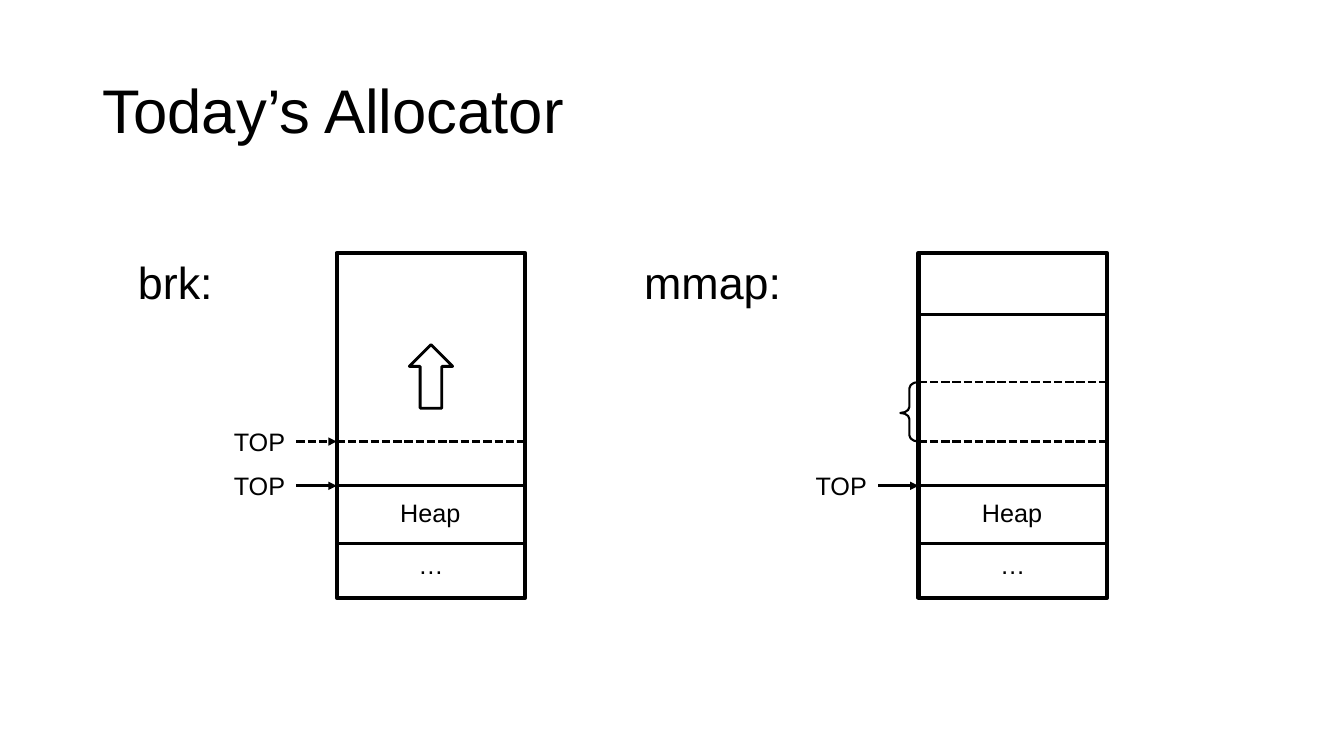
from lxml.etree import SubElement
from pptx import Presentation
from pptx.dml.color import RGBColor
from pptx.enum.dml import MSO_LINE
from pptx.enum.shapes import MSO_CONNECTOR, MSO_SHAPE
from pptx.enum.text import MSO_ANCHOR, MSO_AUTO_SIZE
from pptx.oxml.ns import qn
from pptx.util import Inches, Pt

BLACK = RGBColor(0, 0, 0)
FONT = "Arial"
TITLE = "Today’s Allocator"

# Heights on the slide, in inches
MEMORY_TOP, MEMORY_HEIGHT, MEMORY_WIDTH = 2.51, 3.42, 1.87
MAPPED_TOP, BLOCK_TOP, NEW_TOP, HEAP_TOP, HEAP_BOTTOM = 3.12, 3.79, 4.38, 4.82, 5.39
BAND_LABELS = [("Heap", 0.81, 5.08), ("…", 0.45, 5.6)]  # text, width, middle
LABEL_WIDTH, LABEL_HEIGHT, ARROW_LENGTH = 0.72, 0.4, 0.4

# Each line or pointer is (height, dashed)
MEMORIES = [
    {"heading": "brk:", "heading_left": 1.27, "heading_width": 0.95, "left": 3.34,
     "lines": [(HEAP_TOP, False), (HEAP_BOTTOM, False), (NEW_TOP, True)],
     "pointers": [(HEAP_TOP, False), (NEW_TOP, True)]},
    {"heading": "mmap:", "heading_left": 6.29, "heading_width": 1.57, "left": 9.11,
     "lines": [(HEAP_TOP, False), (HEAP_BOTTOM, False), (NEW_TOP, True),
               (BLOCK_TOP, True), (MAPPED_TOP, False)],
     "pointers": [(HEAP_TOP, False)]},
]


def add_text(slide, text, left, top, width, height, size):
    box = slide.shapes.add_textbox(Inches(left), Inches(top), Inches(width), Inches(height))
    box.text_frame.text = text
    box.text_frame.word_wrap = False
    box.text_frame.auto_size = MSO_AUTO_SIZE.SHAPE_TO_FIT_TEXT
    font = box.text_frame.paragraphs[0].runs[0].font
    font.name, font.size, font.color.rgb = FONT, Pt(size), BLACK
    return box


def add_label(slide, text, left, middle, width):
    return add_text(slide, text, left, middle - LABEL_HEIGHT / 2, width, LABEL_HEIGHT, 18)


def add_outline(slide, kind, left, top, width, height, weight):
    shape = slide.shapes.add_shape(kind, Inches(left), Inches(top), Inches(width), Inches(height))
    shape.shadow.inherit = False
    shape.fill.background()
    shape.line.color.rgb = BLACK
    shape.line.width = Pt(weight)
    return shape


def add_level(slide, left, right, height, dashed):
    """Draw a horizontal line at the given height."""
    level = slide.shapes.add_connector(
        MSO_CONNECTOR.STRAIGHT, Inches(left), Inches(height), Inches(right), Inches(height))
    level.line.color.rgb = BLACK
    level.line.width = Pt(2)
    if dashed:
        level.line.dash_style = MSO_LINE.SQUARE_DOT
    SubElement(level._element.spPr, qn("a:effectLst"))
    return level


def add_pointer(slide, memory_left, height, dashed):
    """Draw a TOP label with an arrow to the memory's left side."""
    arrow_left = memory_left - ARROW_LENGTH
    label = add_label(slide, "TOP", arrow_left - LABEL_WIDTH, height, LABEL_WIDTH)
    arrow = add_level(slide, arrow_left, memory_left, height, dashed)
    arrow.begin_connect(label, 3)
    SubElement(arrow.line._get_or_add_ln(), qn("a:tailEnd"), type="triangle")


def add_memory(slide, memory):
    left = memory["left"]
    center = left + MEMORY_WIDTH / 2
    add_text(slide, memory["heading"], memory["heading_left"], 2.48,
             memory["heading_width"], 0.64, 32)
    add_outline(slide, MSO_SHAPE.RECTANGLE, left, MEMORY_TOP, MEMORY_WIDTH, MEMORY_HEIGHT, 3)
    for height, dashed in memory["lines"]:
        add_level(slide, left, left + MEMORY_WIDTH, height, dashed)
    for height, dashed in memory["pointers"]:
        add_pointer(slide, left, height, dashed)
    for text, width, middle in BAND_LABELS:
        add_label(slide, text, center - width / 2, middle, width)


def main():
    deck = Presentation()
    deck.slide_width, deck.slide_height = Inches(13.33), Inches(7.5)
    slide = deck.slides.add_slide(deck.slide_layouts[6])

    title = add_text(slide, TITLE, 0.92, 0.4, 11.5, 1.45, 44)
    title.text_frame.auto_size = MSO_AUTO_SIZE.NONE
    title.text_frame.word_wrap = True
    title.text_frame.vertical_anchor = MSO_ANCHOR.MIDDLE
    title.text_frame.paragraphs[0].line_spacing = 0.9

    for memory in MEMORIES:
        add_memory(slide, memory)

    brk, mmap = MEMORIES
    growth_width = 0.43
    add_outline(slide, MSO_SHAPE.UP_ARROW,
                brk["left"] + (MEMORY_WIDTH - growth_width) / 2, 3.42, growth_width, 0.63, 2)
    brace_width = 0.18
    brace = add_outline(slide, MSO_SHAPE.LEFT_BRACE, mmap["left"] - brace_width, BLOCK_TOP,
                        brace_width, NEW_TOP - BLOCK_TOP, 1.5)
    brace.adjustments[0], brace.adjustments[1] = 0.34, 0.52

    deck.save("out.pptx")


if __name__ == "__main__":
    main()
